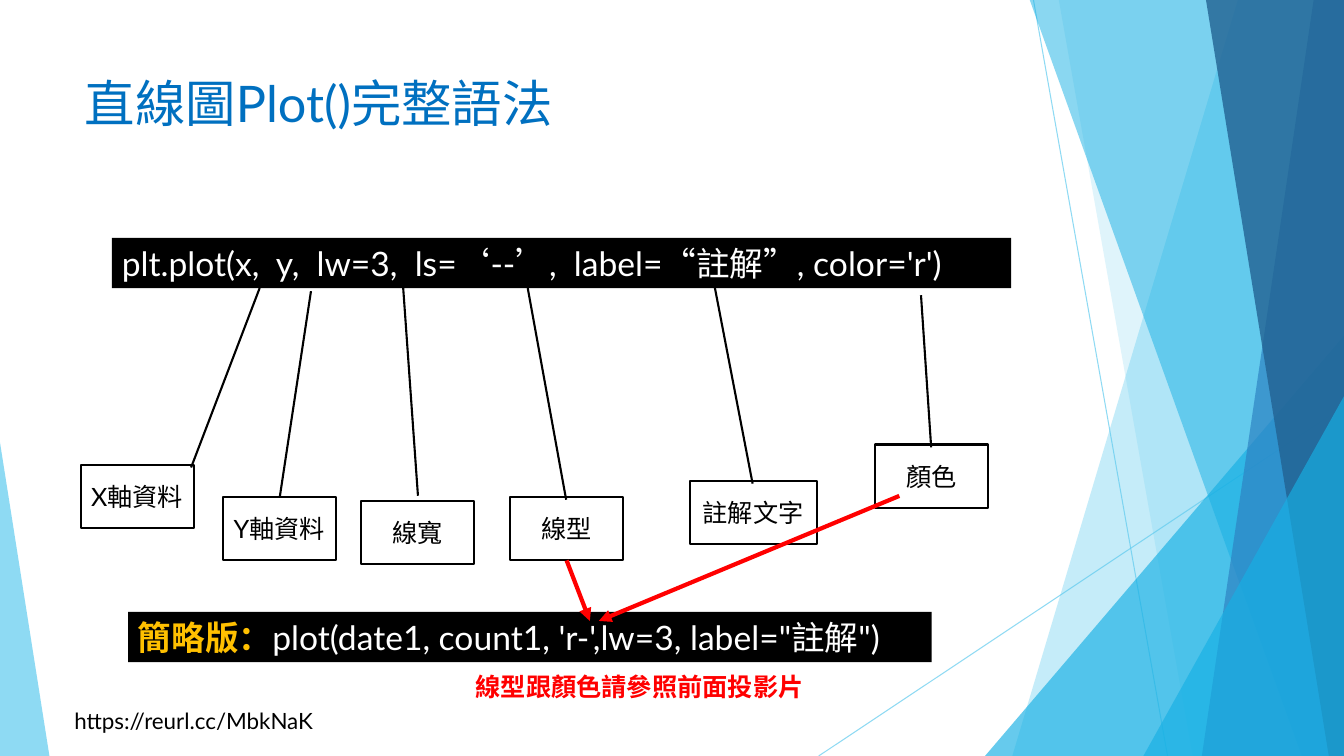
from lxml import etree
from pptx import Presentation
from pptx.dml.color import RGBColor
from pptx.enum.shapes import MSO_CONNECTOR, MSO_SHAPE
from pptx.enum.text import MSO_ANCHOR, MSO_AUTO_SIZE, PP_ALIGN
from pptx.oxml.ns import qn
from pptx.util import Pt

PX = 9144  # 100 px to the inch
LINE = MSO_CONNECTOR.STRAIGHT
RECT, TRIANGLE = MSO_SHAPE.RECTANGLE, MSO_SHAPE.ISOSCELES_TRIANGLE
CALLOUT = MSO_SHAPE.LINE_CALLOUT_1
LEFT, CENTER = PP_ALIGN.LEFT, PP_ALIGN.CENTER
TOP, MIDDLE = MSO_ANCHOR.TOP, MSO_ANCHOR.MIDDLE
FIT, NO_FIT = MSO_AUTO_SIZE.SHAPE_TO_FIT_TEXT, MSO_AUTO_SIZE.NONE
W, H = 1333, 750
COLORS = {
    "sky": "5FCBEF", "cyan": "17B0E4", "blue": "2E83C3", "navy": "226292",
    "title": "0070C0", "black": "000000", "white": "FFFFFF",
    "red": "FF0000", "gold": "FFC000",
}


def paint(fill, color, opacity=100):
    """Fill with a solid colour, opacity in percent."""
    fill.solid()
    fill.fore_color.rgb = RGBColor.from_string(COLORS[color])
    if opacity < 100:
        # The colour element is the last srgbClr under the fill's parent
        clr = list(fill._xPr.iter(qn("a:srgbClr")))[-1]
        etree.SubElement(clr, qn("a:alpha"), val=str(opacity * 1000))


def write(shape, runs, size, align=LEFT, anchor=TOP, wrap=True, fit=NO_FIT):
    """Write (text, colour, bold) runs as one paragraph."""
    tf = shape.text_frame
    frame = {"word_wrap": wrap, "auto_size": fit, "vertical_anchor": anchor}
    for name, value in frame.items():
        setattr(tf, name, value)
    p = tf.paragraphs[0]
    p.alignment = align
    for text, color, bold in runs:
        r = p.add_run()
        r.text = text
        for name, value in {"name": "Lato", "size": Pt(size), "bold": bold}.items():
            setattr(r.font, name, value)
        r.font.color.rgb = RGBColor.from_string(COLORS[color])


prs = Presentation()
prs.slide_width, prs.slide_height = W * PX, H * PX
s = prs.slides.add_slide(prs.slide_layouts[5])

# Background facets: outlines run from the top edge to the bottom edge
thin_lines = [(1025, 0, 1158, 750), (1333, 403, 812, 750)]
bands = [
    (1228, 1004, "sky", 36), (1050, 1183, "sky", 20), "low triangle",
    (1021, 1291, "cyan", 50), (1303, 1192, "blue", 70), (1196, 1318, "navy", 80),
    "right triangle", "left triangle",
]
triangles = {
    "low triangle": (977, 333, 356, 417, 1, "cyan", 66),
    "right triangle": (1134, 393, 199, 357, 1, "cyan", 66),
    "left triangle": (0, 439, 49, 311, 0, "sky", 70),
}
for ends in thin_lines:
    line = s.shapes.add_connector(LINE, *[v * PX for v in ends])
    line.line.width = Pt(0.75)
    paint(line.line.fill, "sky", 70)
    etree.SubElement(line._element.spPr, qn("a:effectLst"))
for band in bands:
    if band in triangles:
        *box, apex, color, opacity = triangles[band]
        facet = s.shapes.add_shape(TRIANGLE, *[v * PX for v in box])
        facet.adjustments[0] = apex
    else:
        top_x, bottom_x, color, opacity = band
        outline = s.shapes.build_freeform(top_x, -1, scale=PX)
        outline.add_line_segments([(W, -1), (W, H), (bottom_x, H)], close=True)
        facet = outline.convert_to_shape()
    facet.shadow.inherit = False
    facet.line.fill.background()
    paint(facet.fill, color, opacity)

# Title
title = s.shapes.title
title_box = {"left": 74, "top": 67, "width": 940, "height": 144}
for name, value in title_box.items():
    setattr(title, name, value * PX)
write(title, [("直線圖Plot()完整語法", "title", False)], 36)

# Full syntax bar and short version bar
full_syntax = [("plt.plot(x,  y,  lw=3,  ls=‘--’,  label=“註解”, color='r')", "white", False)]
short_syntax = [
    ("簡略版：", "gold", True),
    ("plot(date1, count1, 'r-',lw=3, label=\"註解\")", "white", False),
]
for box, runs in [((111, 236, 892, 50), full_syntax), ((127, 607, 797, 50), short_syntax)]:
    bar = s.shapes.add_shape(RECT, *[v * PX for v in box])
    bar.shadow.inherit = False
    bar.line.fill.background()
    paint(bar.fill, "black")
    write(bar, runs, 24, wrap=False, fit=FIT)

# Callouts: text, left, top, width, pointer (y, x, y, x) as shares of the box
callouts = [
    ("X軸資料", 80, 461, 112, (0.045, 0.978, -2.78, 1.585)),
    ("Y軸資料", 221, 493, 112, (-0.003, 0.505, -3.24, 0.781)),
    ("線寬", 358, 497, 112, (-0.082, 0.505, -3.462, 0.37)),
    ("線型", 506, 493, 112, (0.045, 0.496, -3.288, 0.156)),
    ("註解文字", 684, 477, 126, (0.045, 0.496, -3.05, 0.198)),
    ("顏色", 868, 441, 112, (0.045, 0.496, -2.351, 0.406)),
]
for text, x, y, width, pointer in callouts:
    callout = s.shapes.add_shape(CALLOUT, x * PX, y * PX, width * PX, 63 * PX)
    callout.shadow.inherit = False
    for i, share in enumerate(pointer):
        callout.adjustments[i] = share
    paint(callout.fill, "white")
    paint(callout.line.fill, "black")
    callout.line.width = Pt(1.5)
    write(callout, [(text, "black", False)], 18, CENTER, MIDDLE)

# Arrows from line style and colour to the short version
for ends in [(562, 556, 585, 616), (892, 492, 594, 616)]:
    arrow = s.shapes.add_connector(LINE, *[v * PX for v in ends])
    arrow.line.width = Pt(3)
    paint(arrow.line.fill, "red")
    etree.SubElement(arrow.line._get_or_add_ln(), qn("a:tailEnd"), type="triangle")
    etree.SubElement(arrow._element.spPr, qn("a:effectLst"))

# Link and hint
notes = [
    ((64, 697, 280, 37), ("https://reurl.cc/MbkNaK", "black", False), 16, True),
    ((462, 661, 348, 40), ("線型跟顏色請參照前面投影片", "red", True), 18, False),
]
for box, run, size, wrap in notes:
    note = s.shapes.add_textbox(*[v * PX for v in box])
    write(note, [run], size, wrap=wrap, fit=FIT)

prs.save("out.pptx")
